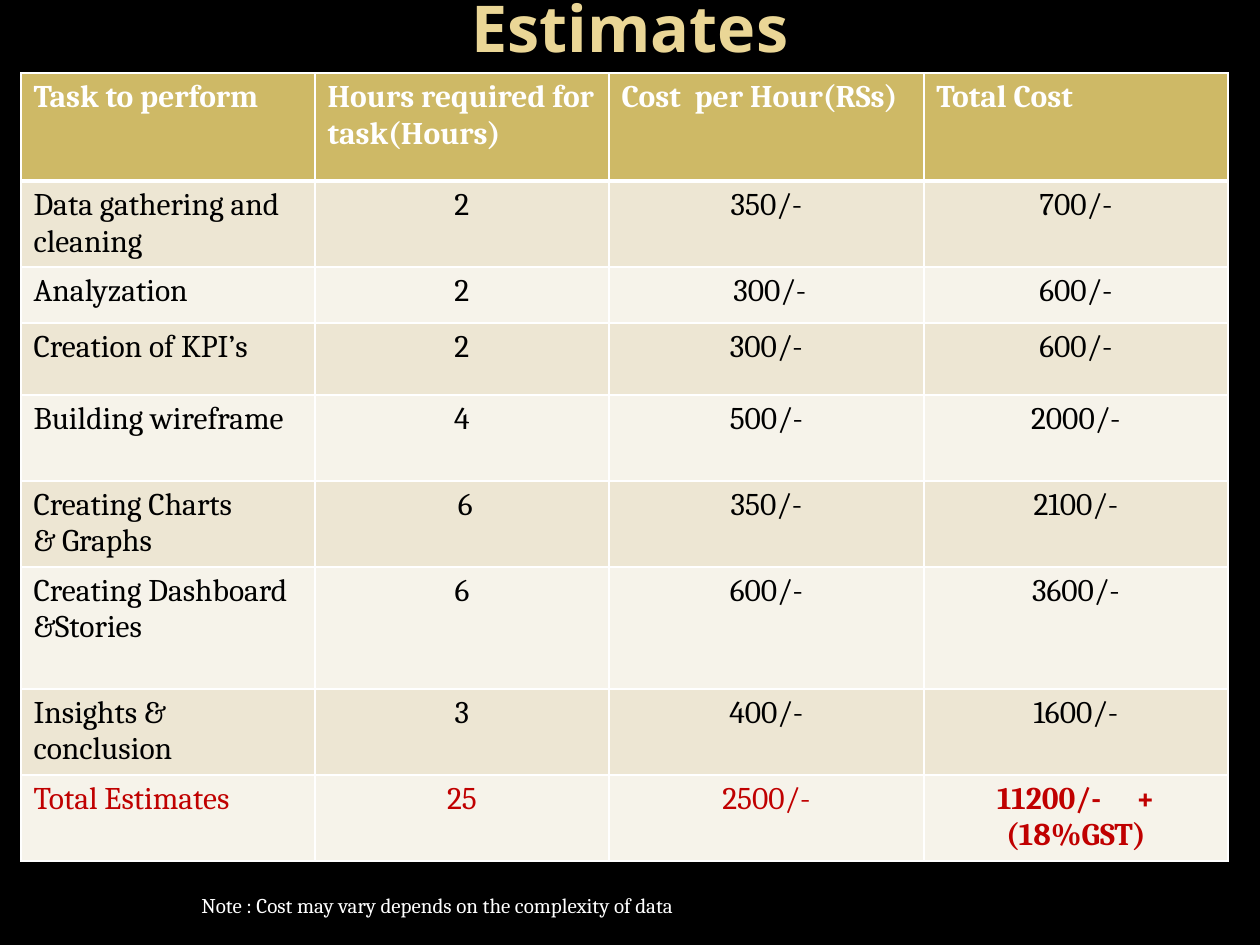
from pptx import Presentation
from pptx.dml.color import RGBColor
from pptx.enum.text import MSO_ANCHOR, MSO_AUTO_SIZE, PP_ALIGN
from pptx.oxml import parse_xml
from pptx.oxml.ns import nsdecls
from pptx.util import Pt

LEFT, CENTER = PP_ALIGN.LEFT, PP_ALIGN.CENTER
MIDDLE = MSO_ANCHOR.MIDDLE
NO_FIT = MSO_AUTO_SIZE.NONE
PX = 914400 // 126

THEME = {
    "background": "000000", "gold": "CEB966", "band_dark": "EDE6D3",
    "band_light": "F6F3EA", "white": "FFFFFF", "black": "000000",
    "total": "C00000", "title_from": "EAD696", "title_to": "E7D081",
    "title_font": "Noto Sans", "body_font": "Cambria",
    "title_size": 36.9, "table_size": 18, "note_size": 12,
}

COL_WIDTHS = [294, 294, 315, 304]
ROW_HEIGHTS = [108, 86, 56, 72, 86, 86, 122, 86, 86]
ROWS = [
    ["Task to perform", "Hours required for task(Hours)", "Cost  per Hour(RSs)", "Total Cost"],
    ["Data gathering and cleaning", "2", "350/-", "700/-"],
    ["Analyzation", "2", " 300/-", "600/-"],
    ["Creation of KPI’s", "2", "300/-", "600/-"],
    ["Building wireframe", "4", "500/-", "2000/-"],
    ["Creating Charts\n& Graphs", " 6", "350/-", "2100/-"],
    ["Creating Dashboard &Stories", "6", "600/-", "3600/-"],
    ["Insights & conclusion", "3", "400/-", "1600/-"],
    ["Total Estimates", "25", "2500/-", "11200/-\t+ (18%GST)"],
]
LAST_ROW, LAST_COL = len(ROWS) - 1, len(COL_WIDTHS) - 1


def color(name):
    return RGBColor.from_string(THEME[name])


def add_run(p, text, size, ink, bold=False):
    r = p.add_run()
    r.text = text
    values = {"name": THEME["body_font"], "size": Pt(THEME[size]), "bold": bold}
    for key, value in values.items():
        setattr(r.font, key, value)
    r.font.color.rgb = color(ink)
    return r


prs = Presentation()
prs.slide_width, prs.slide_height = 1260 * PX, 945 * PX
s = prs.slides.add_slide(prs.slide_layouts[5])
s.background.fill.solid()
s.background.fill.fore_color.rgb = color("background")

# Title
title = s.shapes.title
box = {"left": 63 * PX, "top": 0, "width": 1134 * PX, "height": 53 * PX}
for key, value in box.items():
    setattr(title, key, value)
tf = title.text_frame
tf.auto_size, tf.vertical_anchor = NO_FIT, MIDDLE
p = tf.paragraphs[0]
p.alignment = CENTER
r = p.add_run()
r.text = "Estimates"
values = {"name": THEME["title_font"], "size": Pt(THEME["title_size"]), "bold": True}
for key, value in values.items():
    setattr(r.font, key, value)
r.font.fill.gradient()
r.font.fill.gradient_angle = 280
stops = [(0.73, "title_from"), (1, "title_to")]
for stop, (position, name) in zip(r.font.fill.gradient_stops, stops):
    stop.position = position
    stop.color.rgb = color(name)

# Estimate table
table = s.shapes.add_table(len(ROWS), len(COL_WIDTHS), 21 * PX, 73 * PX,
                           sum(COL_WIDTHS) * PX, sum(ROW_HEIGHTS) * PX).table
for col, width in zip(table.columns, COL_WIDTHS):
    col.width = width * PX
for row, height in zip(table.rows, ROW_HEIGHTS):
    row.height = height * PX

for i, texts in enumerate(ROWS):
    header, total = i == 0, i == LAST_ROW
    band = "gold" if header else "band_dark" if i % 2 else "band_light"
    ink = "white" if header else "total" if total else "black"
    for j, text in enumerate(texts):
        cell = table.cell(i, j)
        bold = header or (total and j == LAST_COL)

        # Borders, with a heavier rule under the header
        widths = {"L": 1, "R": 1, "T": 3 if i == 1 else 1, "B": 3 if header else 1}
        tc_pr = cell._tc.get_or_add_tcPr()
        for side, width in widths.items():
            tc_pr.append(parse_xml(
                f'<a:ln{side} {nsdecls("a")} w="{Pt(width)}"><a:solidFill>'
                f'<a:srgbClr val="{THEME["white"]}"/></a:solidFill></a:ln{side}>'))
        cell.fill.solid()
        cell.fill.fore_color.rgb = color(band)

        # Text, with a tab mark standing for one widened space
        tf = cell.text_frame
        for k, line in enumerate(text.split("\n")):
            p = tf.add_paragraph() if k else tf.paragraphs[0]
            p.alignment = LEFT if header or j == 0 else CENTER
            before, gap, after = line.partition("\t")
            add_run(p, before, "table_size", ink, bold)
            if gap:
                r = add_run(p, " ", "table_size", ink, bold)
                r.font._element.set("spc", "1600")
                add_run(p, after, "table_size", ink, bold)

# Note
note = s.shapes.add_textbox(189 * PX, 886 * PX, 924 * PX, 38 * PX)
tf = note.text_frame
tf.word_wrap = True
add_run(tf.paragraphs[0], "Note : Cost may vary depends on the complexity of data",
        "note_size", "white")

prs.save("out.pptx")
